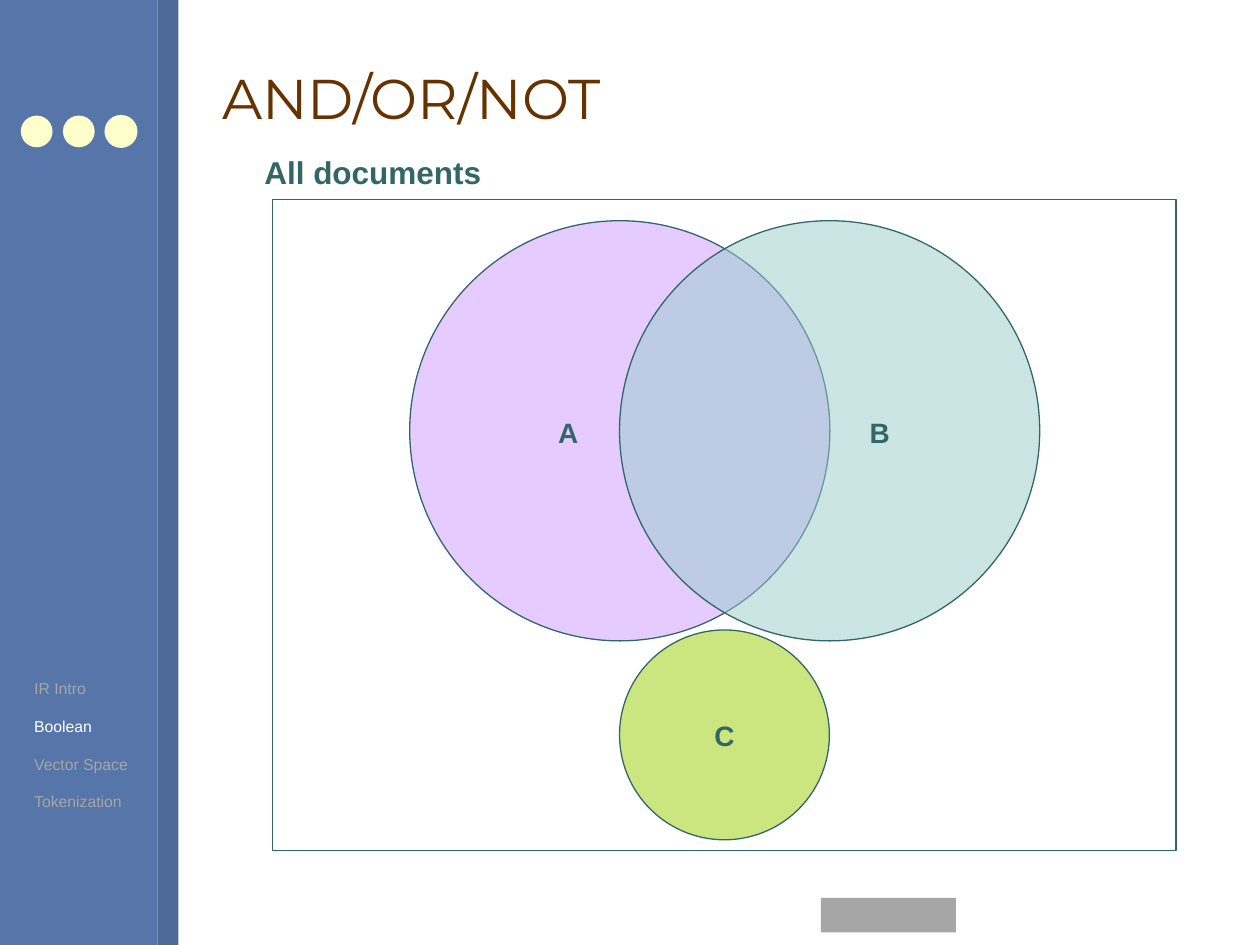
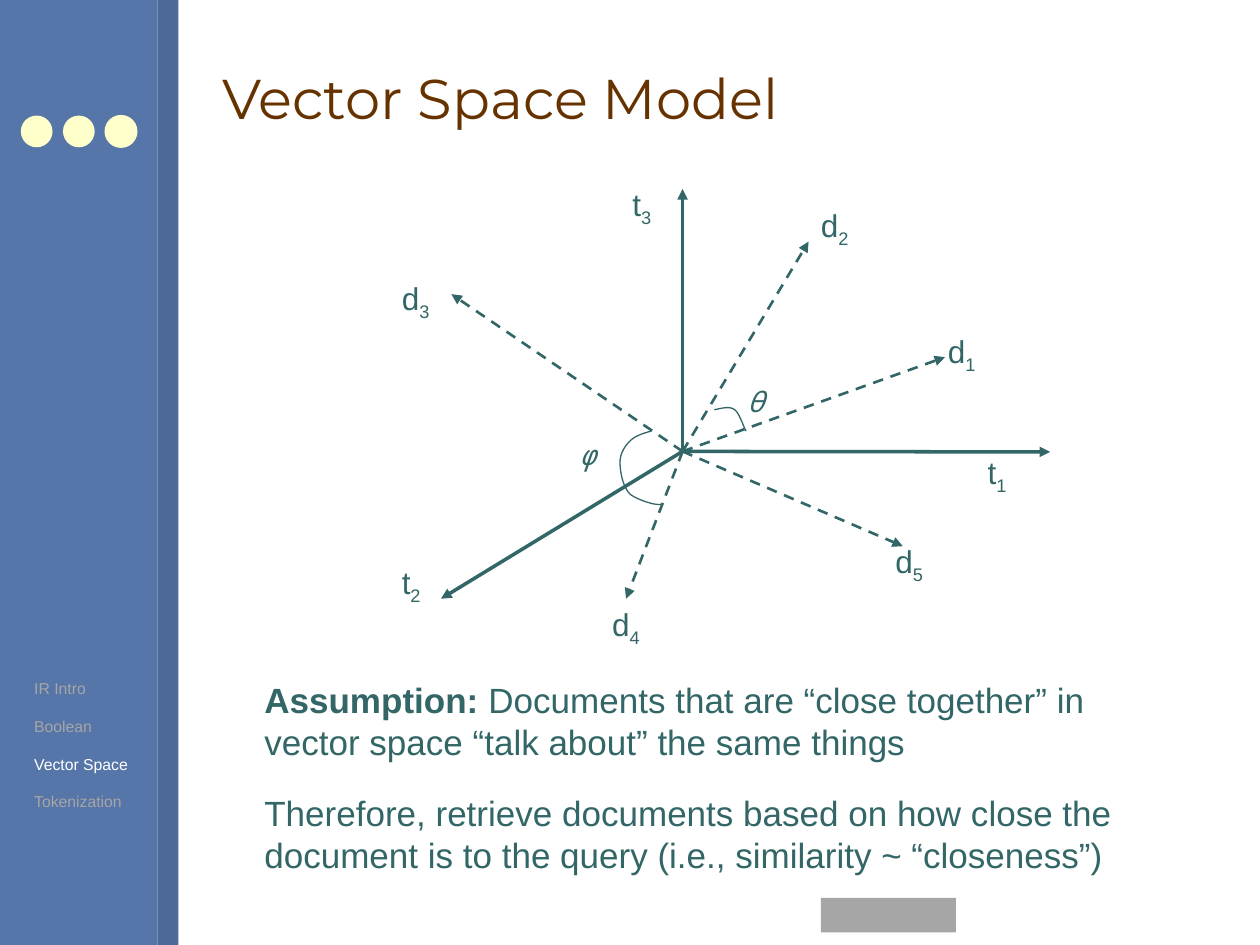
from dataclasses import dataclass
from typing import NamedTuple, Optional

from lxml.etree import SubElement
from pptx import Presentation
from pptx.dml.color import RGBColor
from pptx.enum.dml import MSO_LINE_DASH_STYLE as Dash
from pptx.enum.shapes import MSO_CONNECTOR, MSO_SHAPE
from pptx.enum.text import MSO_ANCHOR, MSO_AUTO_SIZE, PP_ALIGN
from pptx.oxml.ns import qn
from pptx.util import Cm, Pt

BLUE = RGBColor(0x56, 0x75, 0xA9)
DARK_BLUE = RGBColor(0x4D, 0x69, 0x97)
CREAM = RGBColor(0xFF, 0xFF, 0xCC)
BROWN = RGBColor(0x66, 0x33, 0x00)
TEAL = RGBColor(0x33, 0x66, 0x66)
LILAC = RGBColor(0xCC, 0x99, 0xFF)
AQUA = RGBColor(0x99, 0xCC, 0xCC)
LIME = RGBColor(0x99, 0xCC, 0x00)
GREY = RGBColor(0xA6, 0xA6, 0xA6)
WHITE = RGBColor(0xFF, 0xFF, 0xFF)

BODY_FONT = "Arial"
TITLE_FONT = "Montserrat"
SYMBOL_FONT = "Noto Sans Mono"

SLIDE_WIDTH, SLIDE_HEIGHT = 25.4, 19.05
SECTIONS = ("IR Intro", "Boolean", "Vector Space", "Tokenization")


class Point(NamedTuple):
    x: float
    y: float


class Box(NamedTuple):
    left: float
    top: float
    width: float
    height: float

    def lengths(self) -> list:
        return [Cm(value) for value in self]


class Run(NamedTuple):
    text: str
    bold: Optional[bool] = None
    color: Optional[RGBColor] = None
    subscript: bool = False


@dataclass(frozen=True)
class Circle:
    left: float
    top: float
    diameter: float
    color: RGBColor

    @property
    def box(self) -> Box:
        return Box(self.left, self.top, self.diameter, self.diameter)


@dataclass(frozen=True)
class Vector:
    """An arrow from the origin with its name, such as t with index 1."""
    letter: str
    index: str
    tip: Point
    label: Point

    @property
    def is_axis(self) -> bool:
        return self.letter == "t"


@dataclass(frozen=True)
class Angle:
    """An arc given by cubic Bézier points, with its Greek letter."""
    symbol: str
    label: Point
    curve: tuple


FOOTER_BLOCK = Box(16.55, 18.1, 2.72, 0.7)
VENN_FRAME = Box(5.5, 4.02, 18.21, 13.13)
SET_A = Circle(8.26, 4.45, 8.47, LILAC)
SET_B = Circle(12.49, 4.45, 8.47, AQUA)
SET_C = Circle(12.49, 12.7, 4.23, LIME)

ORIGIN = Point(13.76, 9.1)
VECTORS = (
    Vector("t", "1", Point(21.17, 9.11), Point(19.66, 9.01)),
    Vector("t", "3", Point(13.76, 3.81), Point(12.5, 3.61)),
    Vector("t", "2", Point(8.89, 12.07), Point(7.85, 11.23)),
    Vector("d", "1", Point(19.05, 7.2), Point(18.86, 6.57)),
    Vector("d", "5", Point(18.2, 11.01), Point(17.8, 10.8)),
    Vector("d", "2", Point(16.3, 4.87), Point(16.3, 4.04)),
    Vector("d", "4", Point(12.62, 12.07), Point(12.09, 12.07)),
    Vector("d", "3", Point(9.1, 5.93), Point(7.85, 5.51)),
)
ANGLES = (
    Angle("θ", Point(14.81, 7.62), (
        Point(14.4, 8.26), Point(14.55, 8.23), Point(14.71, 8.18), Point(14.81, 8.26),
        Point(14.91, 8.33), Point(14.99, 8.61), Point(15.04, 8.69))),
    Angle("φ", Point(11.43, 8.69), (
        Point(13.13, 8.69), Point(12.95, 8.74), Point(12.8, 8.79), Point(12.7, 8.89),
        Point(12.6, 8.99), Point(12.5, 9.14), Point(12.5, 9.32),
        Point(12.5, 9.5), Point(12.55, 9.8), Point(12.7, 9.96),
        Point(12.85, 10.08), Point(13.26, 10.21), Point(13.34, 10.16))),
)
STATEMENTS = (
    (13.56, [Run("Assumption: ", bold=True),
             Run("Documents that are “close together” in vector space "
                 "“talk about” the same things")]),
    (15.84, [Run("Therefore, retrieve documents based on how close the document "
                 "is to the query (i.e., similarity ~ “closeness”)")]),
)


def write(shape, paragraphs: list, *, size: float, font: str = BODY_FONT,
          color: RGBColor = TEAL, bold: bool = False, italic: bool = False,
          align=PP_ALIGN.LEFT, anchor=MSO_ANCHOR.TOP, wrap: bool = False,
          leading: Optional[float] = None, gap: float = 0) -> None:
    """Fill a shape with paragraphs, each a list of runs; leading is in ems."""
    frame = shape.text_frame
    frame.word_wrap = wrap
    frame.vertical_anchor = anchor
    for number, runs in enumerate(paragraphs):
        paragraph = frame.add_paragraph() if number else frame.paragraphs[0]
        paragraph.alignment = align
        if leading:
            paragraph.line_spacing = Pt(leading * size)
        if number:
            paragraph.space_before = Pt(gap)
        for item in runs:
            run = paragraph.add_run()
            run.text = item.text
            run.font.name = font
            run.font.size = Pt(size)
            run.font.bold = bold if item.bold is None else item.bold
            run.font.italic = italic
            run.font.color.rgb = item.color or color
            if item.subscript:
                run.font._element.set("baseline", "-25000")


def add_text(slide, box: Box, paragraphs: list, **text_format) -> None:
    shape = slide.shapes.add_textbox(*box.lengths())
    write(shape, paragraphs, **text_format)
    if "anchor" not in text_format:
        shape.text_frame.auto_size = MSO_AUTO_SIZE.SHAPE_TO_FIT_TEXT


def style_shape(shape, fill: Optional[RGBColor], line: Optional[RGBColor],
                opacity: int = 100) -> None:
    shape.shadow.inherit = False
    if fill is None:
        shape.fill.background()
    else:
        shape.fill.solid()
        shape.fill.fore_color.rgb = fill
        if opacity < 100:
            fill_color = shape._element.spPr.find(f".//{qn('a:srgbClr')}")
            SubElement(fill_color, qn("a:alpha")).set("val", str(opacity * 1000))
    if line is None:
        shape.line.fill.background()
    else:
        shape.line.color.rgb = line
        shape.line.width = Pt(0.75)


def add_preset(slide, kind, box: Box, fill: Optional[RGBColor] = None,
               line: Optional[RGBColor] = None, opacity: int = 100):
    shape = slide.shapes.add_shape(kind, *box.lengths())
    style_shape(shape, fill, line, opacity)
    return shape


def add_set(slide, circle: Circle):
    return add_preset(slide, MSO_SHAPE.OVAL, circle.box, circle.color, TEAL, opacity=50)


def add_arrow(slide, start: Point, end: Point, width: float, dashed: bool) -> None:
    ends = [Cm(value) for value in (*start, *end)]
    arrow = slide.shapes.add_connector(MSO_CONNECTOR.STRAIGHT, *ends)
    arrow.line.color.rgb = TEAL
    arrow.line.width = Pt(width)
    if dashed:
        arrow.line.dash_style = Dash.DASH
    properties = arrow._element.spPr
    SubElement(properties.find(qn("a:ln")), qn("a:tailEnd")).set("type", "triangle")
    SubElement(properties, qn("a:effectLst"))


def curve_points(controls: tuple, steps: int = 12) -> list:
    """Sample a chain of cubic Bézier segments as points in EMU."""
    points = [controls[0]]
    for first in range(0, len(controls) - 1, 3):
        segment = controls[first:first + 4]
        for step in range(1, steps + 1):
            t = step / steps
            weights = ((1 - t) ** 3, 3 * t * (1 - t) ** 2, 3 * t ** 2 * (1 - t), t ** 3)
            points.append(Point(sum(w * p.x for w, p in zip(weights, segment)),
                                sum(w * p.y for w, p in zip(weights, segment))))
    return [(Cm(point.x), Cm(point.y)) for point in points]


def add_angle(slide, angle: Angle) -> None:
    start, *rest = curve_points(angle.curve)
    builder = slide.shapes.build_freeform(*start)
    builder.add_line_segments(rest, close=False)
    style_shape(builder.convert_to_shape(), None, TEAL)
    add_text(slide, Box(*angle.label, 0.76, 0.94), [[Run(angle.symbol)]],
             size=16, font=SYMBOL_FONT, italic=True, wrap=True)


def add_vector(slide, vector: Vector) -> None:
    add_arrow(slide, ORIGIN, vector.tip, 2 if vector.is_axis else 1.5,
              dashed=not vector.is_axis)
    add_text(slide, Box(*vector.label, 0.89 if vector.is_axis else 1.07, 1.12),
             [[Run(vector.letter), Run(vector.index, subscript=True)]],
             size=18, leading=1.36)


def add_base_slide(presentation, title: str, current_section: str):
    """Add a slide with the sidebar, section list, footer block and title."""
    slide = presentation.slides.add_slide(presentation.slide_layouts[6])
    add_preset(slide, MSO_SHAPE.RECTANGLE, Box(0, 0, 3.18, SLIDE_HEIGHT), BLUE)
    add_preset(slide, MSO_SHAPE.RECTANGLE, Box(3.18, 0, 0.42, SLIDE_HEIGHT), DARK_BLUE)
    for number in range(3):
        add_preset(slide, MSO_SHAPE.OVAL, Box(0.42 + number * 0.85, 2.33, 0.64, 0.64),
                   CREAM, CREAM if number == 2 else None)
    add_preset(slide, MSO_SHAPE.RECTANGLE, FOOTER_BLOCK, GREY)
    add_text(slide, Box(4.23, 0.53, 20.32, 2.87), [[Run(title)]], size=32,
             font=TITLE_FONT, color=BROWN, anchor=MSO_ANCHOR.MIDDLE, wrap=True)
    sections = [[Run(name, color=WHITE if name == current_section else GREY)]
                for name in SECTIONS]
    add_text(slide, Box(0.44, 13.56, 2.41, 2.95), sections, size=9, leading=1.2, gap=10.8)
    return slide


def add_boolean_slide(presentation) -> None:
    slide = add_base_slide(presentation, "AND/OR/NOT", "Boolean")
    add_preset(slide, MSO_SHAPE.RECTANGLE, VENN_FRAME, line=TEAL)
    add_set(slide, SET_A)
    add_set(slide, SET_B)
    for name, left in (("A", 11.0), ("B", 17.28)):
        add_text(slide, Box(left, 8.26, 0.91, 0.94), [[Run(name)]],
                 size=16, bold=True, leading=1.2)
    add_text(slide, Box(5.08, 2.97, 4.88, 1.02), [[Run("All documents")]],
             size=18, bold=True, leading=1.2)
    write(add_set(slide, SET_C), [[Run("C")]], size=16, bold=True, leading=1.2,
          align=PP_ALIGN.CENTER, anchor=MSO_ANCHOR.MIDDLE)


def add_vector_space_slide(presentation) -> None:
    slide = add_base_slide(presentation, "Vector Space Model", "Vector Space")
    for vector in VECTORS:
        add_vector(slide, vector)
    for angle in ANGLES:
        add_angle(slide, angle)
    for top, runs in STATEMENTS:
        add_text(slide, Box(5.08, top, 19.05, 1.96), [runs], size=20, leading=1.2, wrap=True)


def main() -> None:
    presentation = Presentation()
    presentation.slide_width = Cm(SLIDE_WIDTH)
    presentation.slide_height = Cm(SLIDE_HEIGHT)
    add_boolean_slide(presentation)
    add_vector_space_slide(presentation)
    presentation.save("out.pptx")


if __name__ == "__main__":
    main()
